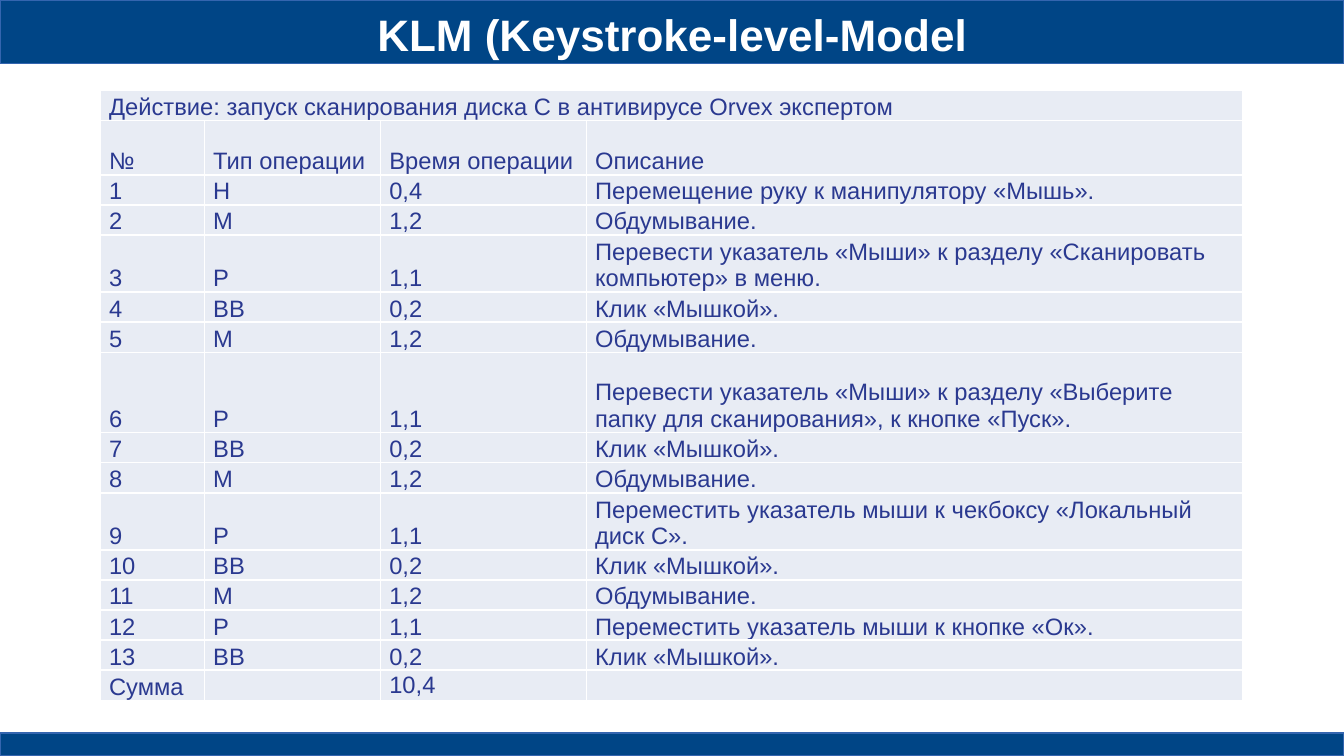
import pptx
import pptx.dml.color
import pptx.enum.shapes
import pptx.enum.text
import pptx.oxml
import pptx.oxml.ns
import pptx.util
from dataclasses import dataclass

Pt = pptx.util.Pt
Align = pptx.enum.text.PP_ALIGN
Anchor = pptx.enum.text.MSO_ANCHOR
WIDE, HIGH = 793.44, 446.4


@dataclass
class Theme:
    font: str = "Arial"
    bar: str = "004586"
    edge: str = "3465AF"
    head: str = "FFFFFF"
    ink: str = "2A3990"
    cell: str = "E8ECF4"
    grid: str = "FFFFFF"
    big: int = 26
    body: int = 14


def color(code):
    return pptx.dml.color.RGBColor.from_string(code)


def write(frame, text, font, size, ink, bold=False, align=Align.LEFT):
    """Put one formatted paragraph into a text frame."""
    para = frame.paragraphs[0]
    para.alignment = align
    if not text:
        # An empty cell keeps the body size, so its row stays low
        para._p.get_or_add_endParaRPr().set("sz", str(size * 100))
        return
    run = para.add_run()
    run.text = text
    run.font.name = font
    run.font.size = Pt(size)
    run.font.bold = bold
    run.font.color.rgb = color(ink)


class Deck:
    def __init__(self, theme):
        self.theme = theme
        self.file = pptx.Presentation()
        self.file.slide_width = Pt(WIDE)
        self.file.slide_height = Pt(HIGH)
        self.slide = self.file.slides.add_slide(self.file.slide_layouts[6])

    def bar(self, top, high):
        shape = self.slide.shapes.add_shape(
            pptx.enum.shapes.MSO_SHAPE.RECTANGLE, 0, Pt(top), Pt(WIDE), Pt(high))
        shape.shadow.inherit = False
        shape.fill.solid()
        shape.fill.fore_color.rgb = color(self.theme.bar)
        shape.line.color.rgb = color(self.theme.edge)
        shape.line.width = 0

    def title(self, text, left, top, wide, high):
        box = self.slide.shapes.add_textbox(Pt(left), Pt(top), Pt(wide), Pt(high))
        frame = box.text_frame
        frame.word_wrap = True
        frame.vertical_anchor = Anchor.MIDDLE
        frame.margin_left = frame.margin_right = 0
        frame.margin_top = frame.margin_bottom = 0
        write(frame, text, self.theme.font, self.theme.big, self.theme.head,
              bold=True, align=Align.CENTER)

    def cell(self, cell, text):
        props = cell._tc.get_or_add_tcPr()
        for side in ("lnL", "lnR", "lnT", "lnB"):
            props.append(pptx.oxml.parse_xml(
                f'<a:{side} {pptx.oxml.ns.nsdecls("a")} w="{Pt(0.96)}"><a:solidFill>'
                f'<a:srgbClr val="{self.theme.grid}"/></a:solidFill></a:{side}>'))
        cell.fill.solid()
        cell.fill.fore_color.rgb = color(self.theme.cell)
        cell.margin_left = cell.margin_right = Pt(5.1)
        cell.margin_top = cell.margin_bottom = 0
        cell.vertical_anchor = Anchor.BOTTOM
        write(cell.text_frame, text, self.theme.font, self.theme.body, self.theme.ink)

    def table(self, rows, left, top, wides, highs):
        table = self.slide.shapes.add_table(
            len(rows), len(wides), Pt(left), Pt(top),
            Pt(sum(wides)), Pt(sum(highs))).table
        table.first_row = table.horz_banding = False
        for col, wide in zip(table.columns, wides):
            col.width = Pt(wide)
        for line, high, texts in zip(table.rows, highs, rows):
            line.height = Pt(high)
            for cell, text in zip(line.cells, texts):
                self.cell(cell, text)
        return table


# Steps of the model: kind of operation and what is done
THINK = ("M", "Обдумывание.")
CLICK = ("BB", "Клик «Мышкой».")
TIMES = {"H": "0,4", "M": "1,2", "P": "1,1", "BB": "0,2"}
MOVES = [
    "Перевести указатель «Мыши» к разделу «Сканировать компьютер» в меню.",
    "Перевести указатель «Мыши» к разделу «Выберите папку для сканирования», "
    "к кнопке «Пуск».",
    "Переместить указатель мыши к чекбоксу «Локальный диск С».",
    "Переместить указатель мыши к кнопке «Ок».",
]


def main():
    deck = Deck(Theme())

    # Bars and title
    deck.bar(0, 37.5)
    deck.bar(432.8, 13.6)
    deck.title("KLM (Keystroke-level-Model", 27.4, 2.9, 739.4, 34.5)

    # Table rows
    steps = [("H", "Перемещение руку к манипулятору «Мышь».")]
    for move in MOVES:
        steps += [THINK, ("P", move), CLICK]
    rows = [("Действие: запуск сканирования диска С в антивирусе Orvex экспертом",
             "", "", ""),
            ("№", "Тип операции", "Время операции", "Описание")]
    rows += [(str(num), kind, TIMES[kind], note)
             for num, (kind, note) in enumerate(steps, 1)]
    rows.append(("Сумма", "", "10,4", ""))

    # Most rows hold one line; a few are taller
    tall = {1: 32, 4: 32, 7: 47.5, 10: 32}
    highs = [tall.get(row, 17.8) for row in range(len(rows))]
    table = deck.table(rows, 59.3, 53.5, [61.5, 104, 121.5, 387.5], highs)
    table.cell(0, 0).merge(table.cell(0, 3))
    table.cell(len(rows) - 1, 2).vertical_anchor = Anchor.MIDDLE

    deck.file.save("out.pptx")


if __name__ == "__main__":
    main()
